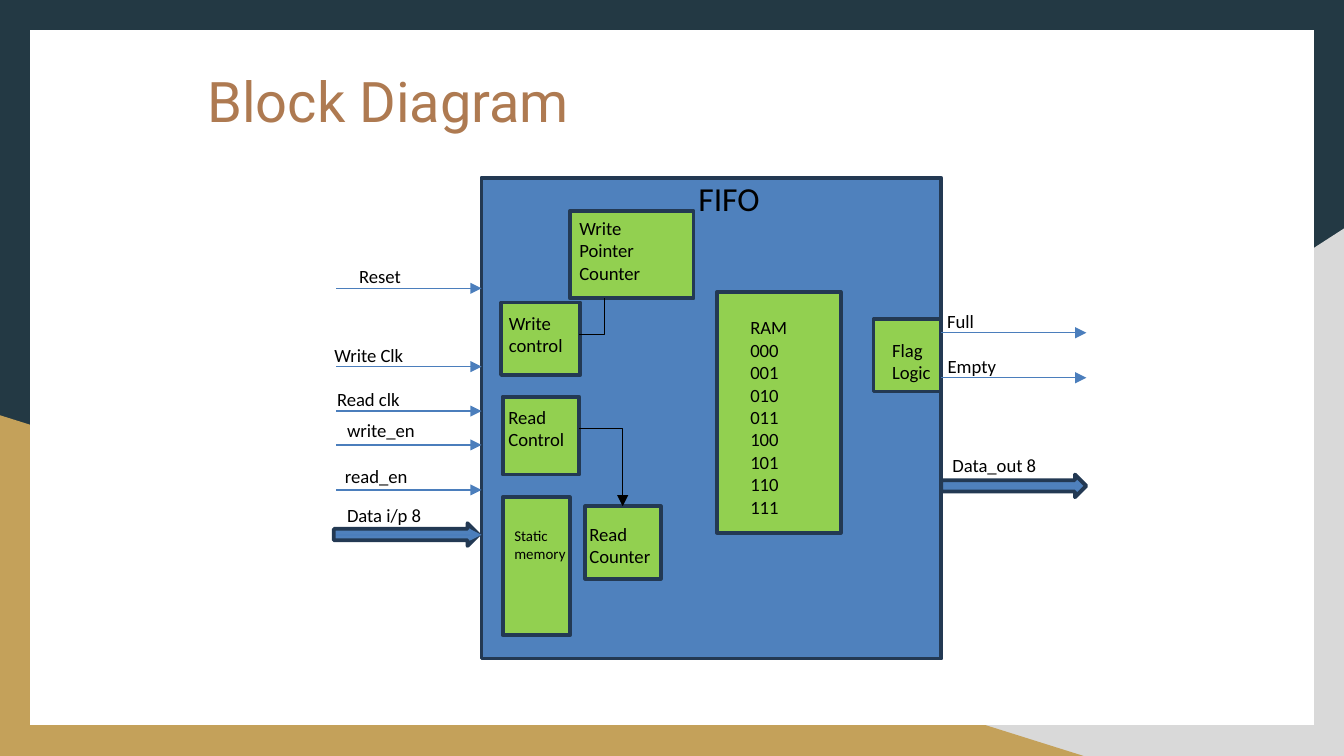
"""Build a slide with the block diagram of a FIFO."""
from pptx import Presentation
from pptx import util as u
from pptx.dml.color import RGBColor
from pptx.enum import shapes, text
from pptx.oxml import ns
from lxml import etree

NAVY, BLUE, GREEN, WIRE, BLACK = "233953", "4F81BD", "92D050", "4B7EBC", "000000"


def color(value):
    return RGBColor.from_string(value)


def add_wire(kind, ends, line_color, arrow=True):
    wire = page.shapes.add_connector(kind, *[u.Cm(n) for n in ends])
    wire.line.width = u.Pt(0.75)
    wire.line.color.rgb = color(line_color)
    if arrow:
        etree.SubElement(wire.line._get_or_add_ln(), ns.qn("a:tailEnd"), type="triangle")
    properties = wire._element.spPr
    etree.SubElement(properties, ns.qn("a:effectLst"))
    if kind == shapes.MSO_CONNECTOR.ELBOW:
        properties.find(ns.qn("a:prstGeom")).set("prst", "bentConnector2")


deck = Presentation()
width, height = 25.4, 14.29
deck.slide_width, deck.slide_height = u.Cm(width), u.Cm(height)
page = deck.slides.add_slide(deck.slide_layouts[5])

backdrop = [
    ("233944", [(0, 0), (width, 0), (width, height), (0, height)]),
    ("D9D9D9", [(width, height), (9.96, height), (width, 4.32)]),
    ("C4A15A", [(20.48, height), (0, height), (0, 7.85)]),
    ("FFFFFF", [(0.57, 0.57), (24.83, 0.57), (24.83, 13.71), (0.57, 13.71)]),
]
for fill, corners in backdrop:
    points = [(u.Cm(x), u.Cm(y)) for x, y in corners]
    builder = page.shapes.build_freeform(*points[0])
    builder.add_line_segments(points[1:], close=True)
    panel = builder.convert_to_shape()
    panel.shadow.inherit = False
    panel.fill.solid()
    panel.fill.fore_color.rgb = color(fill)
    panel.line.fill.background()

title = page.shapes.title
title.element.getparent().append(title.element)
title.left, title.top, title.width, title.height = [u.Cm(n) for n in (3.92, 1.25, 17.58, 1.27)]
frame = title.text_frame
frame.margin_left = frame.margin_right = frame.margin_top = frame.margin_bottom = 0
frame.auto_size = text.MSO_AUTO_SIZE.NONE
para = frame.paragraphs[0]
para.alignment = text.PP_ALIGN.LEFT
span = para.add_run()
span.text = "Block Diagram"
span.font.name, span.font.size = "Roboto", u.Pt(30)
span.font.color.rgb = color("AE7A51")

rectangle, arrow = shapes.MSO_SHAPE.RECTANGLE, shapes.MSO_SHAPE.RIGHT_ARROW
blocks = [
    (rectangle, BLUE, 9.1, 3.36, 8.69, 9.09),
    (arrow, BLUE, 6.31, 9.89, 2.74, 0.43),
    (arrow, BLUE, 17.79, 8.97, 2.74, 0.43),
    (rectangle, GREEN, 13.55, 5.52, 2.34, 4.55),
    (rectangle, GREEN, 9.47, 5.72, 1.5, 1.37),
    (rectangle, GREEN, 10.77, 3.99, 2.34, 1.65),
    (rectangle, GREEN, 11.06, 9.57, 1.43, 1.37),
    (rectangle, GREEN, 9.5, 7.5, 1.45, 1.47),
    (rectangle, GREEN, 16.51, 6.03, 1.27, 1.37),
    (rectangle, GREEN, 9.5, 9.4, 1.27, 2.61),
]
for kind, fill, *place in blocks:
    block = page.shapes.add_shape(kind, *[u.Cm(n) for n in place])
    block.shadow.inherit = False
    block.fill.solid()
    block.fill.fore_color.rgb = color(fill)
    block.line.color.rgb = color(NAVY)
    block.line.width = u.Pt(2)

straight, elbow = shapes.MSO_CONNECTOR.STRAIGHT, shapes.MSO_CONNECTOR.ELBOW
for y in (5.45, 6.93, 7.77, 8.41, 9.26, 10.11):
    add_wire(straight, (6.35, y, 9.1, y), WIRE)
for y in (6.29, 7.14):
    add_wire(straight, (17.79, y, 20.53, y), WIRE)
add_wire(elbow, (10.95, 8.1, 11.77, 9.57), BLACK)
add_wire(elbow, (10.95, 6.32, 11.43, 5.64), BLACK, arrow=False)

labels = [
    (["Reset"], 10, 6.54, 4.88, 2.34, 0.69),
    (["Write Clk"], 10, 6.07, 6.38, 2.74, 0.69),
    (["Read clk"], 10, 6.12, 7.21, 2.74, 0.69),
    (["write_en"], 10, 6.31, 7.8, 2.74, 0.69),
    (["read_en"], 10, 6.27, 8.66, 2.74, 0.69),
    (["Data i/p 8"], 10, 6.31, 9.4, 2.74, 0.69),
    (["Full"], 10, 17.65, 5.73, 5.92, 0.69),
    (["Empty"], 10, 17.66, 6.58, 2.74, 0.69),
    (["Data_out 8"], 10, 17.75, 8.46, 4.24, 0.69),
    (["RAM"] + [f"{n:03b}" for n in range(8)], 10, 13.93, 5.85, 1.32, 4.11),
    (["Flag Logic"], 10, 16.61, 6.28, 1.3, 1.12),
    (["Write", "control"], 10, 9.37, 5.77, 1.6, 1.12),
    (["Read Control"], 10, 9.36, 7.54, 1.6, 1.12),
    (["Read Counter"], 10, 10.89, 9.75, 1.7, 1.12),
    (["Write", "Pointer", "Counter"], 10, 10.7, 3.97, 1.78, 1.55),
    (["FIFO"], 18, 12.95, 3.23, 2.29, 1.02),
    (["Static", "memory"], 8, 9.47, 9.83, 1.7, 0.94),
]
for lines, size, *place in labels:
    box = page.shapes.add_textbox(*[u.Cm(n) for n in place])
    frame = box.text_frame
    frame.word_wrap = True
    frame.auto_size = text.MSO_AUTO_SIZE.SHAPE_TO_FIT_TEXT
    for index, line in enumerate(lines):
        para = frame.add_paragraph() if index else frame.paragraphs[0]
        span = para.add_run()
        span.text = line
        span.font.name, span.font.size = "Calibri", u.Pt(size)
        span.font.color.rgb = color(BLACK)

deck.save("out.pptx")
